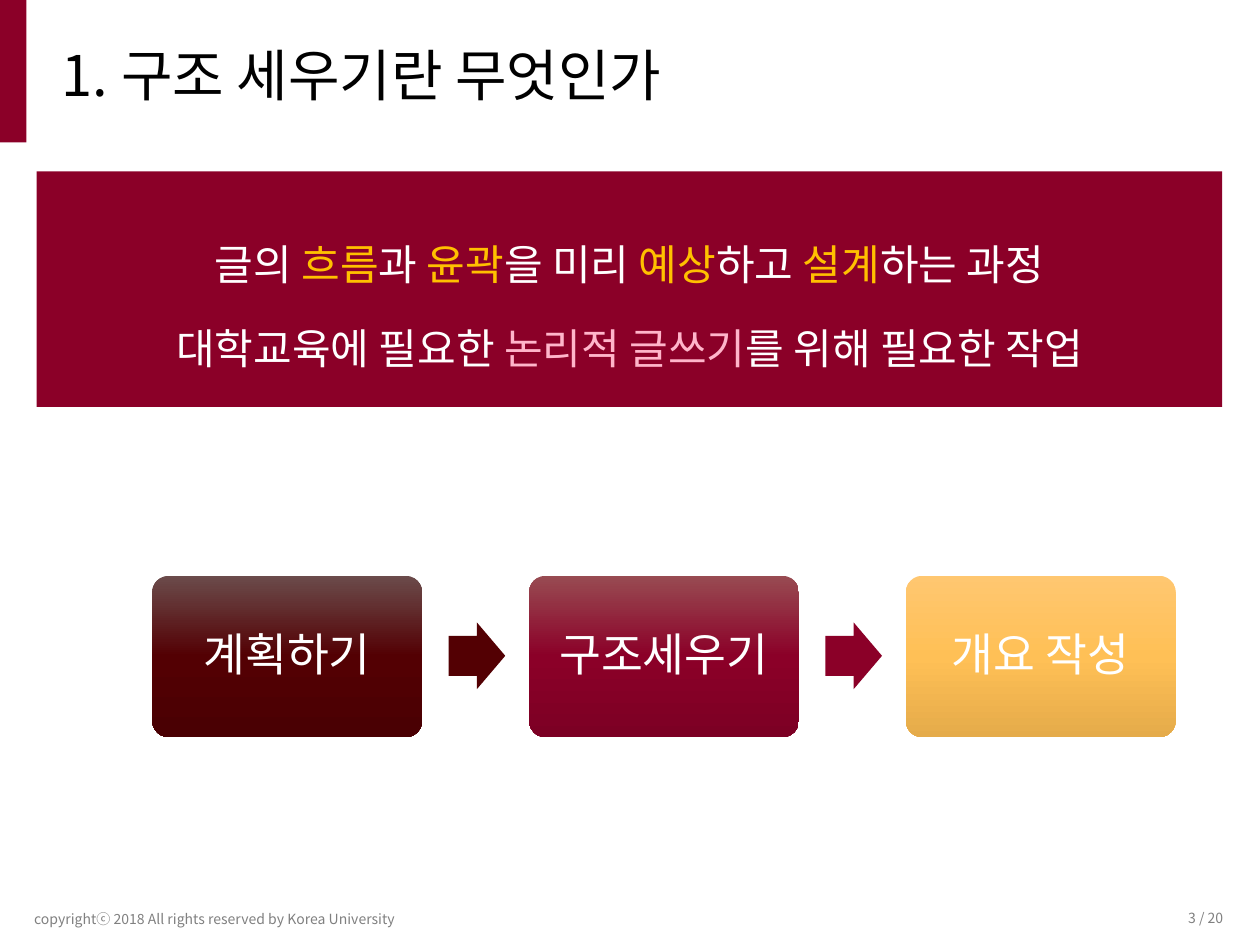
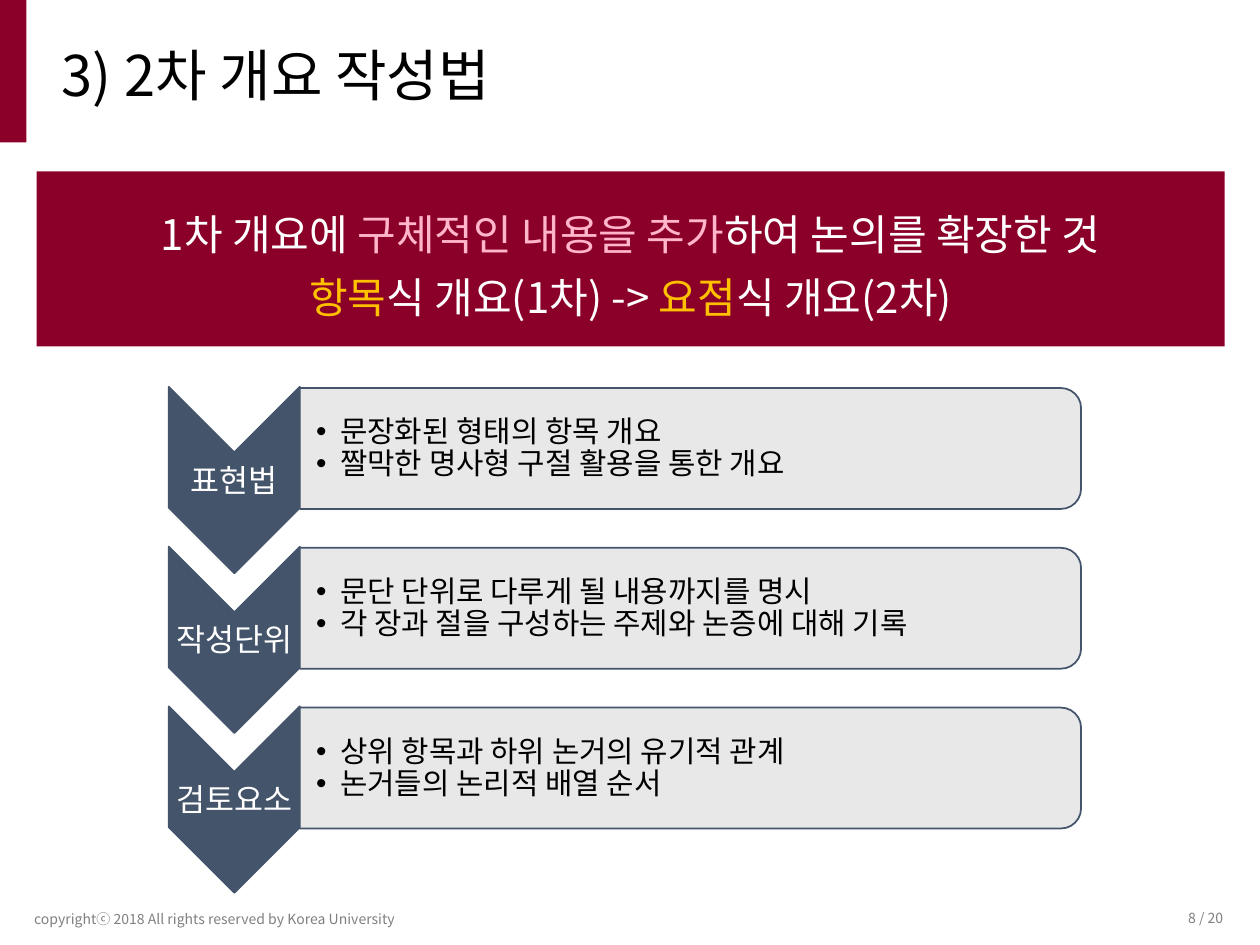
import copy

import pptx
import pptx.dml.color
import pptx.enum.shapes
import pptx.enum.text
import pptx.oxml.ns
import pptx.util

COLS, ROWS = 100, 75
CELL = pptx.util.Inches(0.1)
SANS, BODY = "Noto Sans CJK KR", "Calibri"
WINE, GOLD, PINK, WHITE = "8B0028", "FFC000", "FFB5CA", "FFFFFF"
BLACK, GREY, SLATE, PALE = "000000", "808080", "44546A", "E7E6E6"
SHAPE = pptx.enum.shapes.MSO_SHAPE
ALIGN = pptx.enum.text.PP_ALIGN
ANCHOR = pptx.enum.text.MSO_ANCHOR


def tint(code):
    return pptx.dml.color.RGBColor.from_string(code)


def grid(*cells):
    return [round(cell * CELL) for cell in cells]


def add_tag(parent, tag, **attrs):
    node = parent.makeelement(pptx.oxml.ns.qn(tag), attrs)
    parent.append(node)
    return node


def style(run, size, color, face):
    run.font.size = pptx.util.Pt(size)
    run.font.name = face
    run.font.color.rgb = tint(color)
    add_tag(run._r.get_or_add_rPr(), "a:ea", typeface=SANS)


def write(shape, lines, size, color, face=SANS, align=ALIGN.CENTER,
          space=None, inset=(1, 0.5, 1, 0.5), dots=False):
    frame = shape.text_frame
    frame.word_wrap = True
    frame.auto_size = pptx.enum.text.MSO_AUTO_SIZE.NONE
    frame.vertical_anchor = ANCHOR.MIDDLE
    (frame.margin_left, frame.margin_top,
     frame.margin_right, frame.margin_bottom) = grid(*inset)
    for i, line in enumerate(lines):
        para = frame.paragraphs[0] if i == 0 else frame.add_paragraph()
        para.alignment = align
        para.line_spacing = space
        para.space_before = pptx.util.Pt(0)
        if dots:
            props = para._p.get_or_add_pPr()
            hang = grid(1.9)[0]
            props.set("marL", str(hang))
            props.set("indent", str(-hang))
            add_tag(props, "a:buFont", typeface="Arial")
            add_tag(props, "a:buChar", char="•")
        for part in [line] if isinstance(line, str) else line:
            words, hue = (part, color) if isinstance(part, str) else part
            run = para.add_run()
            run.text = words
            style(run, size, hue, face)


def add_box(slide, kind, spot, fill=None, edge=None):
    box = slide.shapes.add_shape(kind, *grid(*spot))
    box.shadow.inherit = False
    if fill:
        box.fill.solid()
        box.fill.fore_color.rgb = tint(fill)
    if edge:
        box.line.color.rgb = tint(edge)
        box.line.width = pptx.util.Pt(1)
    else:
        box.line.fill.background()
    return box


def add_turned(slide, kind, spot, fill, edge):
    left, top, width, height = spot
    shift = (width - height) / 2
    box = add_box(slide, kind, (left + shift, top - shift, height, width), fill, edge)
    box.rotation = 90
    return box


def add_text(slide, spot, lines, size, color, **look):
    write(slide.shapes.add_textbox(*grid(*spot)), lines, size, color, **look)


def shade(box, colors):
    box.fill.gradient()
    box.fill.gradient_angle = 270
    stops = box._element.spPr.find(".//" + pptx.oxml.ns.qn("a:gsLst"))
    stops.insert(1, copy.deepcopy(stops[0]))
    for i, (stop, color) in enumerate(zip(box.fill.gradient_stops, colors)):
        stop.position = i / 2
        stop.color.rgb = tint(color)


def add_page(deck, title, number):
    slide = deck.slides.add_slide(deck.slide_layouts[5])
    add_box(slide, SHAPE.RECTANGLE, (0, 0, 2.1, 11.3), WINE)
    head = slide.shapes.title
    head.left, head.top, head.width, head.height = grid(3.9, 3.4, 86.9, 5.6)
    write(head, [title], 32, BLACK, align=ALIGN.LEFT, space=0.9)
    add_text(slide, (0.1, 71.7, 33.9, 2.4),
             ["copyrightⓒ 2018 All rights reserved by Korea University"], 8, GREY)
    add_text(slide, (91.2, 71.9, 6.6, 1.9), [f"{number} / 20"], 8, GREY,
             align=ALIGN.RIGHT, inset=(0.7, 0.4, 0.7, 0.4))
    return slide


def add_banner(slide, width, height, lines, space):
    band = add_box(slide, SHAPE.RECTANGLE, (2.9, 13.6, width, height), WINE)
    write(band, lines, 24, WHITE, space=space)


def add_flow(slide, steps):
    for i, (name, colors) in enumerate(steps):
        left = 12.1 + i * 29.9
        card = add_box(slide, SHAPE.ROUNDED_RECTANGLE, (left, 45.7, 21.4, 12.8))
        card.adjustments[0] = 0.1
        shade(card, colors)
        write(card, [name], 26, WHITE, face=BODY, space=0.9, inset=[1.1] * 4)
        if i < len(steps) - 1:
            arrow = add_box(slide, SHAPE.RIGHT_ARROW,
                            (left + 23.5, 49.4, 4.5, 5.3), colors[1])
            arrow.adjustments[0] = 0.6


def add_list(slide, rows):
    for i, (name, points) in enumerate(rows):
        top = 30.7 + i * 12.68
        add_turned(slide, SHAPE.CHEVRON, (13.4, top, 10.4, 14.8), SLATE, SLATE)
        add_text(slide, (13.4, top + 5.3, 10.4, 4.5), [name], 18, WHITE,
                 face=BODY, space=0.9, inset=[0.1] * 4)
        panel = add_turned(slide, SHAPE.ROUND_2_SAME_RECTANGLE,
                           (23.8, top + 0.1, 62, 9.6), PALE, SLATE)
        paint = panel._element.spPr.find(".//" + pptx.oxml.ns.qn("a:srgbClr"))
        add_tag(paint, "a:alpha", val="90000")
        add_text(slide, (23.8, top + 0.6, 61.6, 8.7), points, 17, BLACK, face=BODY,
                 align=ALIGN.LEFT, space=0.9, inset=(1.3, 0.1, 0.1, 0.1), dots=True)


def main():
    deck = pptx.Presentation()
    deck.slide_width, deck.slide_height = grid(COLS, ROWS)

    plan = add_page(deck, "1. 구조 세우기란 무엇인가", 3)
    add_banner(plan, 94.1, 18.7, [
        ["글의 ", ("흐름", GOLD), "과 ", ("윤곽", GOLD), "을 미리 ",
         ("예상", GOLD), "하고 ", ("설계", GOLD), "하는 과정"],
        ["대학교육에 필요한 ", ("논리적 글쓰기", PINK), "를 위해 필요한 작업"],
    ], pptx.util.Pt(48))
    add_flow(plan, [
        ("계획하기", ("6B4B4B", "530003", "4A0003")),
        ("구조세우기", ("984B52", WINE, "7C0024")),
        ("개요 작성", ("FFC770", "FFC056", "E5AB4A")),
    ])

    draft = add_page(deck, "3) 2차 개요 작성법", 8)
    add_banner(draft, 94.3, 13.9, [
        ["1차 개요에 ", ("구체적인 내용을 추가", PINK), "하여 논의를 확장한 것"],
        [("항목", GOLD), "식 개요(1차) -> ", ("요점", GOLD), "식 개요(2차)"],
    ], 1.24)
    add_list(draft, [
        ("표현법", ["문장화된 형태의 항목 개요", "짤막한 명사형 구절 활용을 통한 개요"]),
        ("작성단위", ["문단 단위로 다루게 될 내용까지를 명시",
                  "각 장과 절을 구성하는 주제와 논증에 대해 기록"]),
        ("검토요소", ["상위 항목과 하위 논거의 유기적 관계", "논거들의 논리적 배열 순서"]),
    ])
    deck.save("out.pptx")


if __name__ == "__main__":
    main()
